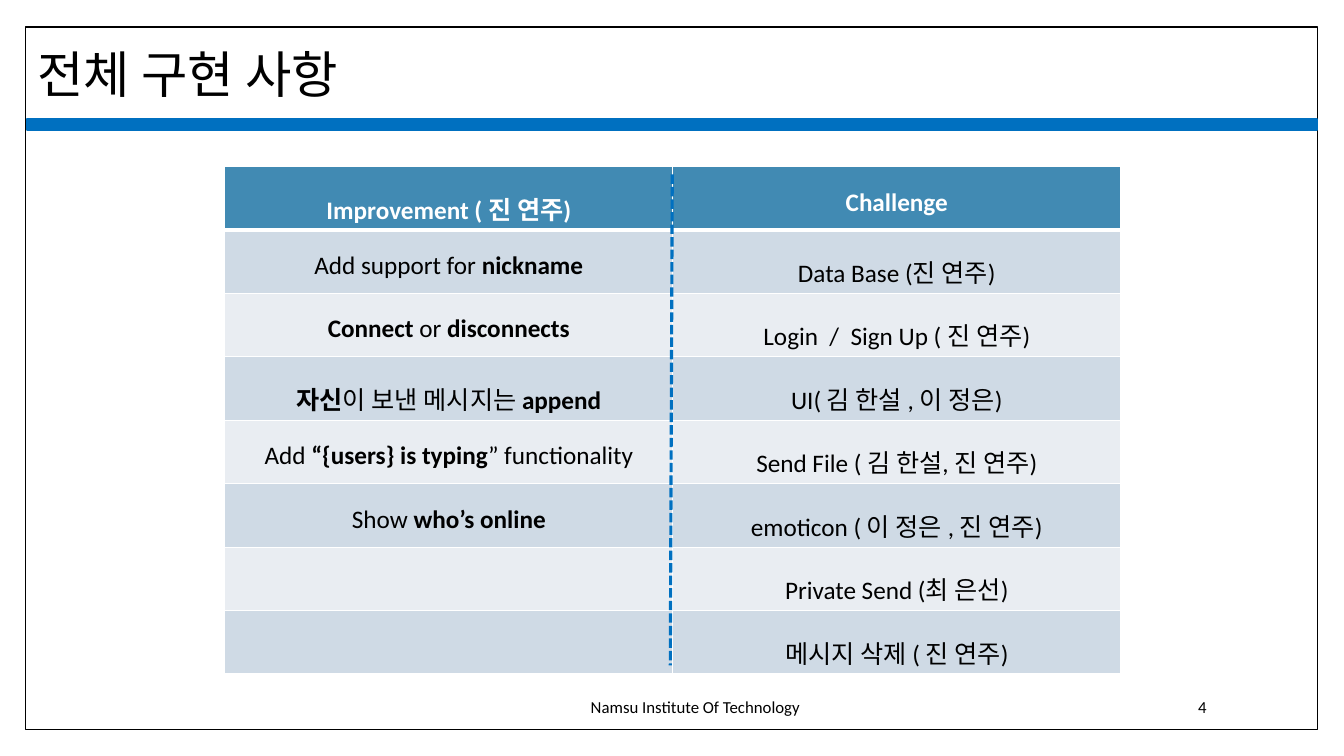
import pptx
import pptx.util
import pptx.dml.color
import pptx.enum.dml
import pptx.enum.shapes
import pptx.enum.text
import pptx.oxml
import pptx.oxml.ns

Pt = pptx.util.Pt
RGBColor = pptx.dml.color.RGBColor
Align = pptx.enum.text.PP_ALIGN
Anchor = pptx.enum.text.MSO_ANCHOR
RECTANGLE = pptx.enum.shapes.MSO_SHAPE.RECTANGLE

BLACK = RGBColor(0x00, 0x00, 0x00)
WHITE = RGBColor(0xFF, 0xFF, 0xFF)
BLUE = RGBColor(0x00, 0x70, 0xC0)
HEADER = RGBColor(0x41, 0x8A, 0xB3)
BANDS = [RGBColor(0xCF, 0xDA, 0xE5), RGBColor(0xE9, 0xED, 0xF2)]
FONT = "Calibri"

presentation = pptx.Presentation()
presentation.slide_width = Pt(960)
presentation.slide_height = Pt(540)
slide = presentation.slides.add_slide(presentation.slide_layouts[6])


def add_text(box, text, size, alignment, anchor):
    frame = slide.shapes.add_textbox(*map(Pt, box)).text_frame
    frame.word_wrap = True
    frame.vertical_anchor = anchor
    paragraph = frame.paragraphs[0]
    paragraph.text = text
    paragraph.alignment = alignment
    paragraph.font.size = Pt(size)
    paragraph.font.name = FONT
    paragraph.font.color.rgb = BLACK
    return paragraph


def add_border(cell, side, width):
    cell._tc.get_or_add_tcPr().append(pptx.oxml.parse_xml(
        f'<a:{side} {pptx.oxml.ns.nsdecls("a")} w="{Pt(width)}"><a:solidFill>'
        f'<a:srgbClr val="{WHITE}"/></a:solidFill></a:{side}>'))


for box, fill, line, width in [
    ((18, 19.4, 923, 501.8), WHITE, BLACK, 1),
    ((19.4, 85, 921.6, 7.9), BLUE, BLUE, 1.5),
]:
    shape = slide.shapes.add_shape(RECTANGLE, *map(Pt, box))
    shape.shadow.inherit = False
    shape.fill.solid()
    shape.fill.fore_color.rgb = fill
    shape.line.color.rgb = line
    shape.line.width = Pt(width)

title = add_text((19.4, 32.4, 828, 104.4), "전체 구현 사항", 36, Align.LEFT, Anchor.TOP)
title.line_spacing = 0.9

rows = [
    ("**Improvement ( 진 연주)**", "**Challenge**"),
    ("Add support for **nickname**", "Data Base (진 연주)"),
    ("**Connect** or **disconnects**", "Login  /  Sign Up ( 진 연주)"),
    ("**자신**이 보낸 메시지는 **append**", "UI( 김 한설 , 이 정은)"),
    ("Add **“{users} is typing**” functionality", "Send File ( 김 한설, 진 연주)"),
    ("Show **who’s online**", "emoticon ( 이 정은 , 진 연주)"),
    ("", "Private Send (최 은선)"),
    ("", "메시지 삭제 ( 진 연주)"),
]
table = slide.shapes.add_table(
    len(rows), 2, Pt(160.6), Pt(119), Pt(640), Pt(362.4)).table
for column in table.columns:
    column.width = Pt(320)
for row_index, texts in enumerate(rows):
    table.rows[row_index].height = Pt(45.3)
    for column_index, text in enumerate(texts):
        cell = table.cell(row_index, column_index)
        for side in ("lnL", "lnR"):
            add_border(cell, side, 1)
        add_border(cell, "lnT", 3 if row_index == 1 else 1)
        add_border(cell, "lnB", 3 if row_index == 0 else 1)
        cell.fill.solid()
        cell.fill.fore_color.rgb = BANDS[(row_index - 1) % 2] if row_index else HEADER
        paragraph = cell.text_frame.paragraphs[0]
        paragraph.alignment = Align.CENTER
        paragraph.line_spacing = 1.5
        paragraph.font.size = Pt(18)
        paragraph.font.name = FONT
        paragraph.font.color.rgb = BLACK if row_index else WHITE
        for part_index, part in enumerate(text.split("**")):
            if part:
                run = paragraph.add_run()
                run.text = part
                run.font.bold = part_index % 2 == 1

add_text((311, 490.3, 371.5, 28.8), "Namsu Institute Of Technology", 12, Align.CENTER, Anchor.MIDDLE)
add_text((734.4, 490.3, 134.6, 28.8), "4", 12, Align.RIGHT, Anchor.MIDDLE)

divider = slide.shapes.add_connector(
    pptx.enum.shapes.MSO_CONNECTOR.STRAIGHT, Pt(480.2), Pt(124.6), Pt(478.8), Pt(475.2))
divider.line.color.rgb = BLUE
divider.line.width = Pt(2.25)
divider.line.dash_style = pptx.enum.dml.MSO_LINE.SQUARE_DOT
divider._element.spPr.append(pptx.oxml.parse_xml(
    f'<a:effectLst {pptx.oxml.ns.nsdecls("a")}/>'))

presentation.save("out.pptx")
